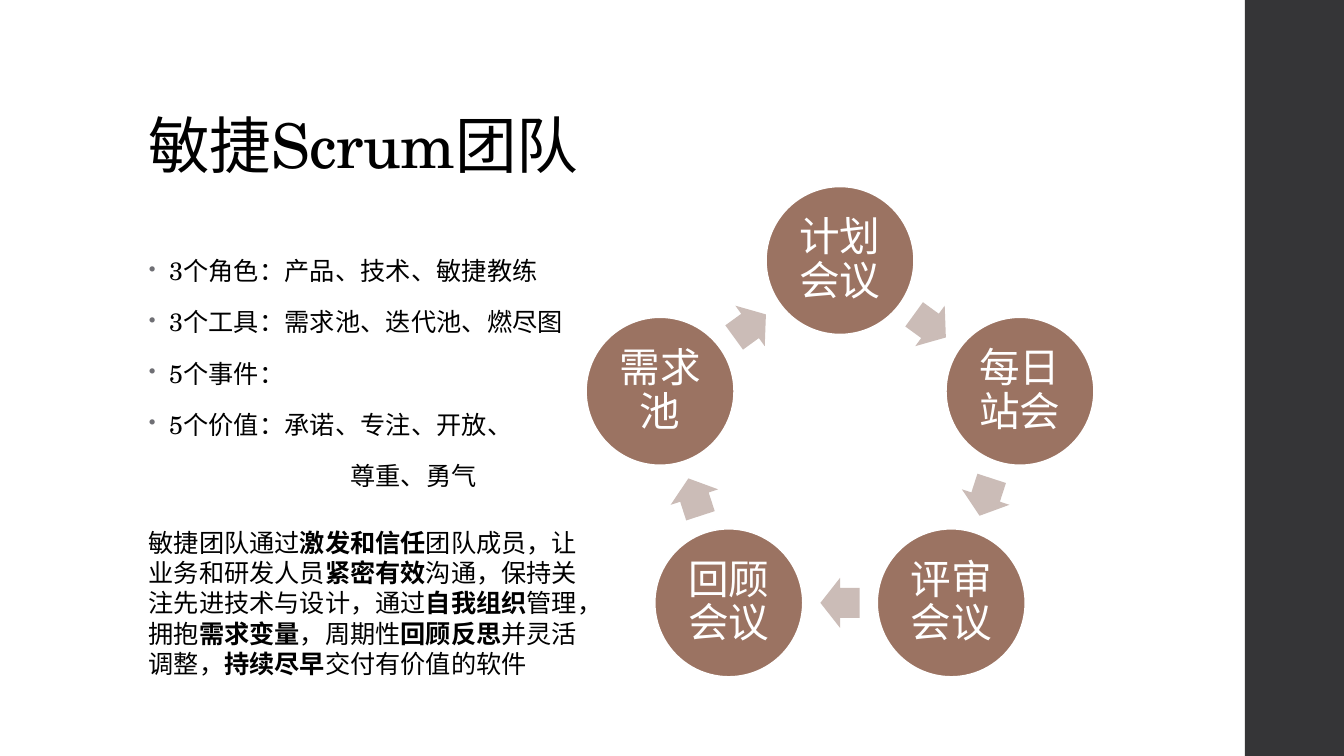
from math import cos, pi, sin

from lxml import etree
from pptx import Presentation
from pptx.dml.color import RGBColor
from pptx.enum.lang import MSO_LANGUAGE_ID
from pptx.enum.shapes import MSO_SHAPE
from pptx.enum.text import MSO_ANCHOR, PP_ALIGN
from pptx.oxml.ns import qn
from pptx.util import Cm, Pt

RECT, OVAL, ARROW = MSO_SHAPE.RECTANGLE, MSO_SHAPE.OVAL, MSO_SHAPE.RIGHT_ARROW
CENTER, MIDDLE, BOTTOM = PP_ALIGN.CENTER, MSO_ANCHOR.MIDDLE, MSO_ANCHOR.BOTTOM
CHINESE = MSO_LANGUAGE_ID.SIMPLIFIED_CHINESE
FONT = "TeX Gyre Schola"
COLORS = {"text": "000000", "white": "FFFFFF", "sidebar": "353537",
          "circle": "9B7362", "arrow": "CBBCB7", "bullet": "6F6F74"}

TITLE = "敏捷Scrum团队"
POINTS = ["3个角色：产品、技术、敏捷教练", "3个工具：需求池、迭代池、燃尽图",
          "5个事件：", "5个价值：承诺、专注、开放、"]
MORE_VALUES = "尊重、勇气"
EVENTS = ["计划会议", "每日站会", "评审会议", "回顾会议", "需求池"]
SUMMARY = [("敏捷团队通过", False), ("激发和信任", True),
           ("团队成员，让业务和研发人员", False), ("紧密有效", True),
           ("沟通，保持关注先进技术与设计，通过", False), ("自我组织", True),
           ("管理，拥抱", False), ("需求变量", True), ("，周期性", False),
           ("回顾反思", True), ("并灵活调整，", False), ("持续尽早", True),
           ("交付有价值的软件", False)]


def rgb(name):
    """Return the named colour."""
    return RGBColor.from_string(COLORS[name])


def format_runs(p, size, color="text", spacing=0):
    """Give all runs of a paragraph the same font, with spacing in 1/100 pt."""
    for r in p.runs:
        r.font.name, r.font.size = FONT, Pt(size)
        r.font.color.rgb = rgb(color)
        r.font.language_id = CHINESE
        if spacing:
            r.font._element.set("spc", str(spacing))


def add_text_box(s, box):
    """Add a wrapping text box and return its text frame."""
    tf = s.shapes.add_textbox(*map(Cm, box)).text_frame
    tf.word_wrap = True
    return tf


def add_solid(s, kind, box, color):
    """Add a filled preset shape without outline or shadow."""
    sp = s.shapes.add_shape(kind, *map(Cm, box))
    sp.shadow.inherit = False
    sp.fill.solid()
    sp.fill.fore_color.rgb = rgb(color)
    sp.line.fill.background()
    return sp


def set_bullet(p):
    """Add a grey hanging bullet to a paragraph."""
    pPr = p._p.get_or_add_pPr()
    pPr.set("marL", str(Cm(0.51)))
    pPr.set("indent", str(-Cm(0.51)))
    color = etree.SubElement(pPr, qn("a:buClr"))
    etree.SubElement(color, qn("a:srgbClr"), val=COLORS["bullet"])
    etree.SubElement(pPr, qn("a:buSzPct"), val="80000")
    etree.SubElement(pPr, qn("a:buChar"), char="•")


def add_title(s, box):
    """Place the title at the bottom of its box."""
    tf = add_text_box(s, box)
    tf.vertical_anchor = BOTTOM
    p = tf.paragraphs[0]
    p.text = TITLE
    p.line_spacing = 0.9
    format_runs(p, 44, spacing=-50)


def add_points(s, box):
    """List the points, then the indented rest of the last one."""
    tf = add_text_box(s, box)
    tf.text = "\n".join(POINTS + [MORE_VALUES])
    for p in tf.paragraphs:
        p.line_spacing = 0.95
        p.space_before, p.space_after = Pt(14), Pt(2)
        format_runs(p, 18, spacing=10)
    for p in tf.paragraphs[:-1]:
        set_bullet(p)
    tf.paragraphs[-1]._p.get_or_add_pPr().set("marL", str(Cm(5.08)))


def add_summary(s, box):
    """Write the summary with its key phrases in bold."""
    p = add_text_box(s, box).paragraphs[0]
    for text, bold in SUMMARY:
        r = p.add_run()
        r.text, r.font.bold = text, bold
    format_runs(p, 18)


def add_event_cycle(s, box):
    """Arrange event circles clockwise in a box, with arrows between them."""
    left, top, width, _ = box
    size, arrow_w, arrow_h = 3.73, 0.99, 1.26
    step = 2 * pi / len(EVENTS)
    radius = (width - size) / 2 / sin(step)
    cx, cy = left + width / 2, top + size / 2 + radius

    def centered(angle, distance, w, h):
        """Return a box centred at an angle and distance on the ring."""
        return (cx + distance * sin(angle) - w / 2,
                cy - distance * cos(angle) - h / 2, w, h)

    for i, event in enumerate(EVENTS):
        sp = add_solid(s, OVAL, centered(i * step, radius, size, size), "circle")
        sp.line.color.rgb = rgb("white")
        sp.line.width = Pt(1.1)
        tf = sp.text_frame
        tf.text, tf.word_wrap, tf.vertical_anchor = event, True, MIDDLE
        tf.margin_left = tf.margin_right = Cm(0.1)
        tf.margin_top = tf.margin_bottom = Cm(0.1)
        p = tf.paragraphs[0]
        p.alignment, p.line_spacing = CENTER, 0.9
        format_runs(p, 29, "white")

        middle = (i + 0.5) * step
        arrow_box = centered(middle, radius * cos(step / 2), arrow_w, arrow_h)
        arrow = add_solid(s, ARROW, arrow_box, "arrow")
        arrow.adjustments[0], arrow.adjustments[1] = 0.6, 0.5
        arrow.rotation = round(middle * 180 / pi)


def build_scrum_slide(prs):
    """Build the Scrum team slide."""
    s = prs.slides.add_slide(prs.slide_layouts[6])
    add_solid(s, RECT, (31.37, 0, 2.5, 19.05), "sidebar")
    add_title(s, (3.5, 1.02, 26.92, 3.68))
    add_points(s, (3.5, 6.37, 12, 6.7))
    add_event_cycle(s, (14.77, 4.7, 12.8, 12.34))
    add_summary(s, (3.5, 13.16, 11.33, 4.88))


def main():
    """Create and save the presentation."""
    prs = Presentation()
    prs.slide_width, prs.slide_height = Cm(33.87), Cm(19.05)
    build_scrum_slide(prs)
    prs.save("out.pptx")


if __name__ == "__main__":
    main()
